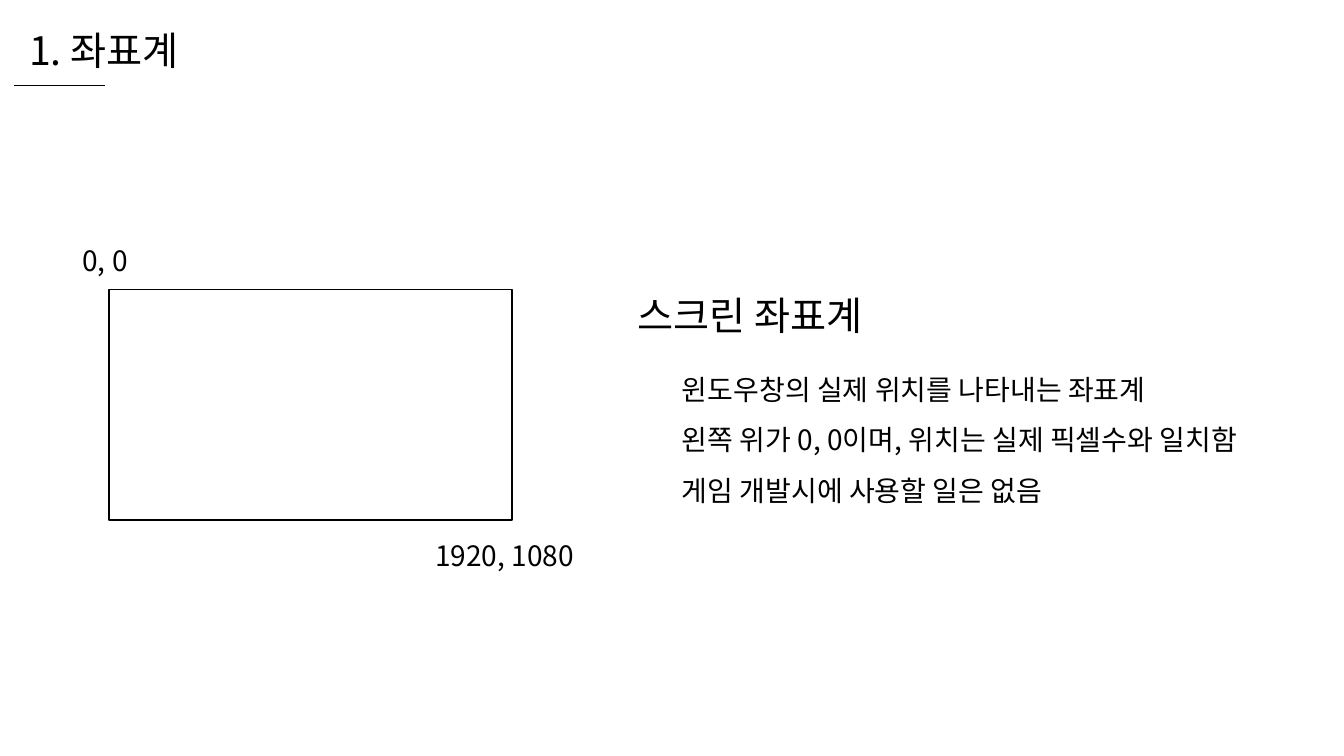
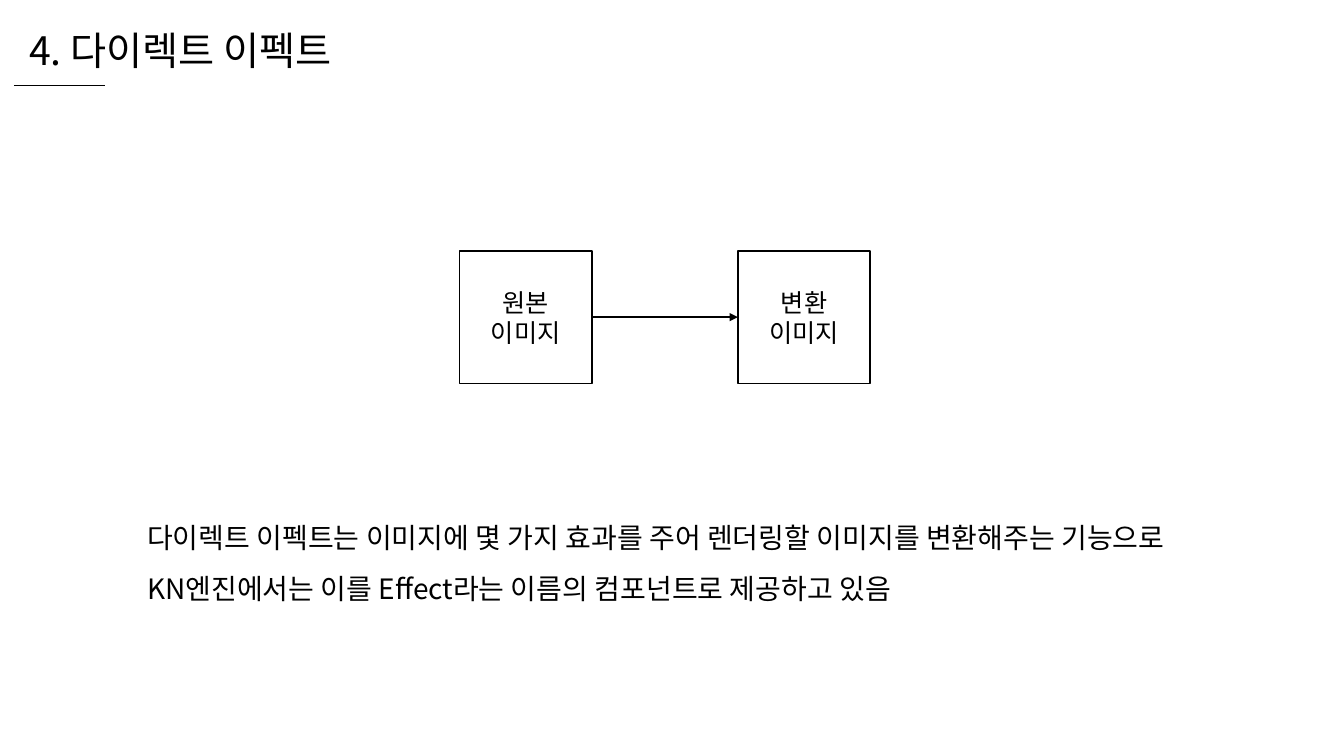
from lxml import etree
from pptx import Presentation
from pptx.dml.color import RGBColor
from pptx.enum.shapes import MSO_CONNECTOR, MSO_SHAPE
from pptx.enum.text import MSO_ANCHOR, PP_ALIGN
from pptx.oxml.ns import qn
from pptx.util import Pt

BLACK = RGBColor(0x00, 0x00, 0x00)
WHITE = RGBColor(0xFF, 0xFF, 0xFF)
STRAIGHT = MSO_CONNECTOR.STRAIGHT
RECTANGLE = MSO_SHAPE.RECTANGLE
MIDDLE = MSO_ANCHOR.MIDDLE
CENTER = PP_ALIGN.CENTER
BLANK_LAYOUT = 6
RIGHT_SITE, LEFT_SITE = 3, 1

FONT = "Noto Sans CJK KR"
TITLE_SIZE, BODY_SIZE, BOX_SIZE = 28, 20, 18
BOX_SIDE, BOX_TOP, BOX_GAP = 94.5, 179.3, 104.3

TITLE_FORMAT = {"line_spacing": 1.0}
BODY_FORMAT = {"line_spacing": 1.5}
BOX_FORMAT = {"alignment": CENTER}


def apply(target, values):
    for name, value in values.items():
        setattr(target, name, value)


def write(text_frame, lines, size, paragraph_format):
    text_frame.word_wrap = True
    for index, line in enumerate(lines):
        paragraph = text_frame.paragraphs[0] if index == 0 else text_frame.add_paragraph()
        apply(paragraph, paragraph_format)
        run = paragraph.add_run()
        run.text = line
        apply(run.font, {"size": Pt(size), "name": FONT})
        run.font.color.rgb = BLACK
        # Korean letters take the East Asian typeface
        etree.SubElement(run.font._element, qn("a:ea"), typeface=FONT)


def add_text(slide, left, top, width, height, lines, size=BODY_SIZE,
             paragraph_format=BODY_FORMAT):
    text_box = slide.shapes.add_textbox(Pt(left), Pt(top), Pt(width), Pt(height))
    write(text_box.text_frame, lines, size, paragraph_format)


def add_box(slide, left, top, width, height, label=None):
    box = slide.shapes.add_shape(RECTANGLE, Pt(left), Pt(top), Pt(width), Pt(height))
    box.shadow.inherit = False
    box.fill.solid()
    box.fill.fore_color.rgb = WHITE
    box.line.color.rgb = BLACK
    box.line.width = Pt(1)
    if label:
        box.text_frame.vertical_anchor = MIDDLE
        write(box.text_frame, [label], BOX_SIZE, BOX_FORMAT)
    return box


def add_line(slide, start, end, width):
    line = slide.shapes.add_connector(STRAIGHT, *map(Pt, start + end))
    line.line.color.rgb = BLACK
    line.line.width = Pt(width)
    etree.SubElement(line._element.spPr, qn("a:effectLst"))
    return line


def add_arrow(slide, source, target):
    arrow = add_line(slide, (0, 0), (0, 0), 1)
    arrow.begin_connect(source, RIGHT_SITE)
    arrow.end_connect(target, LEFT_SITE)
    etree.SubElement(arrow.line._get_or_add_ln(), qn("a:tailEnd"), type="triangle")


def add_titled_slide(presentation, title):
    slide = presentation.slides.add_slide(presentation.slide_layouts[BLANK_LAYOUT])
    add_text(slide, 13.7, 15, 600, 41, [title], TITLE_SIZE, TITLE_FORMAT)
    add_line(slide, (10, 61.2), (75, 61.2), 0.5)
    return slide


def add_coordinate_slide(presentation):
    slide = add_titled_slide(presentation, "1. 좌표계")
    # Screen with its corner coordinates
    add_box(slide, 77.8, 206.6, 288, 165)
    add_text(slide, 51.8, 158.4, 54, 39.6, ["0, 0"])
    add_text(slide, 303.8, 369.4, 125, 39.6, ["1920, 1080"])
    # Explanation
    add_text(slide, 448.6, 188, 190, 52.6, ["스크린 좌표계"], TITLE_SIZE)
    add_text(slide, 480, 250.6, 432, 112.3, [
        "윈도우창의 실제 위치를 나타내는 좌표계",
        "왼쪽 위가 0, 0이며, 위치는 실제 픽셀수와 일치함",
        "게임 개발시에 사용할 일은 없음",
    ])


def add_effect_slide(presentation):
    slide = add_titled_slide(presentation, "4. 다이렉트 이펙트")
    # Conversion flow
    source, result = [
        add_box(slide, 328.3 + index * (BOX_SIDE + BOX_GAP), BOX_TOP, BOX_SIDE, BOX_SIDE, label)
        for index, label in enumerate(["원본 이미지", "변환 이미지"])
    ]
    add_arrow(slide, source, result)
    # Explanation
    add_text(slide, 98, 356.4, 766, 80, [
        "다이렉트 이펙트는 이미지에 몇 가지 효과를 주어 렌더링할 이미지를 변환해주는 기능으로",
        "KN엔진에서는 이를 Effect라는 이름의 컴포넌트로 제공하고 있음",
    ])


def main():
    presentation = Presentation()
    apply(presentation, {"slide_width": Pt(960), "slide_height": Pt(540)})
    add_coordinate_slide(presentation)
    add_effect_slide(presentation)
    presentation.save("out.pptx")


if __name__ == "__main__":
    main()
